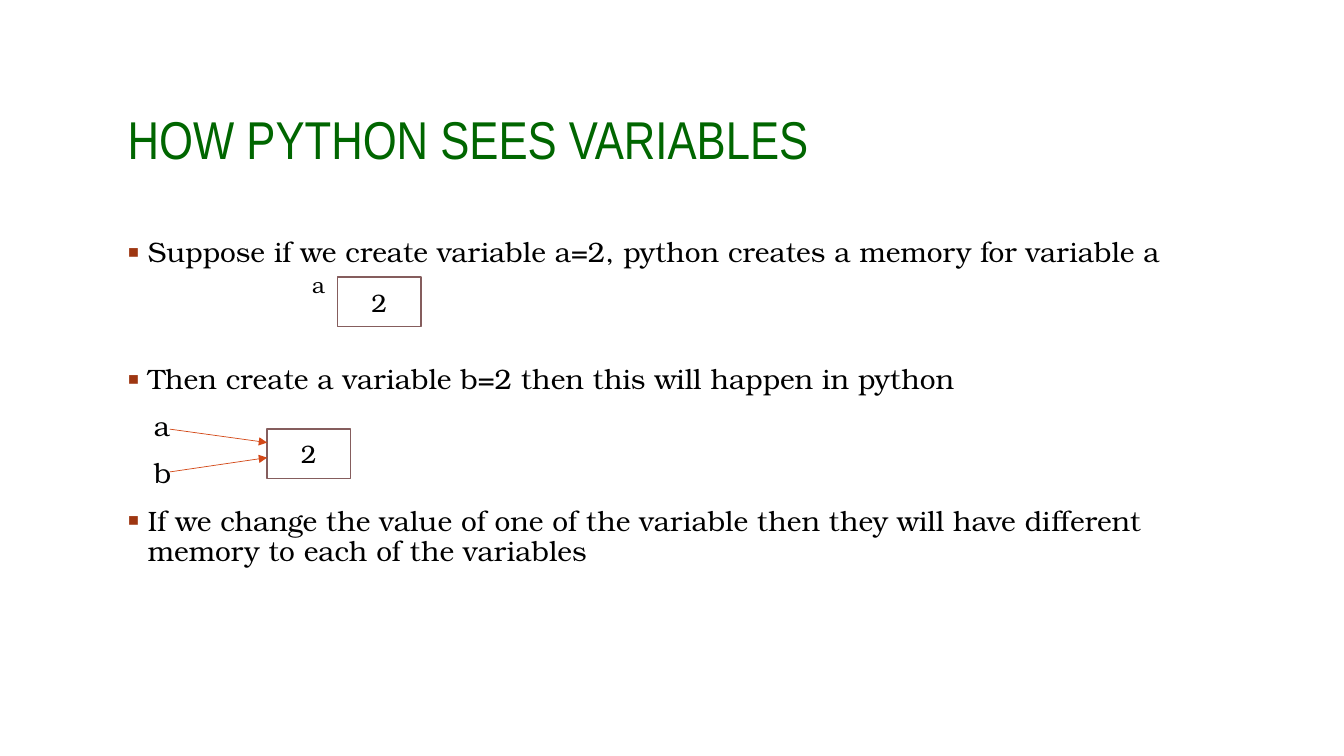
import pptx
import pptx.util
import pptx.dml.color
import pptx.enum.shapes
import pptx.enum.text
import pptx.oxml.ns
from lxml import etree

Pt = pptx.util.Pt
RGBColor = pptx.dml.color.RGBColor
PP_ALIGN = pptx.enum.text.PP_ALIGN
ANCHOR = pptx.enum.text.MSO_ANCHOR
qn = pptx.oxml.ns.qn

GREEN = RGBColor(0x00, 0x66, 0x00)
BLACK = RGBColor(0x00, 0x00, 0x00)
WHITE = RGBColor(0xFF, 0xFF, 0xFF)
RUST = RGBColor(0x9E, 0x36, 0x11)
MAUVE = RGBColor(0x85, 0x5D, 0x5D)
ORANGE = RGBColor(0xD3, 0x48, 0x17)
TITLE_FONT = "Arial Narrow"
BODY_FONT = "TeX Gyre Bonum"

prs = pptx.Presentation()
prs.slide_width = pptx.util.Inches(13.33)
prs.slide_height = pptx.util.Inches(7.5)
slide = prs.slides.add_slide(prs.slide_layouts[1])


def grid(*cells):
    """Lengths in squares of a grid 16 wide and 9 high."""
    return [round(c * prs.slide_width / 16) for c in cells]


def add_run(p, text, size, font=BODY_FONT, color=BLACK):
    r = p.add_run()
    r.text = text
    r.font.size = Pt(size)
    r.font.name = font
    r.font.color.rgb = color


# Title and body share the left edge and the width
title, body = slide.placeholders
for sp, top, height, anchor in [(title, 0.64, 2.11, ANCHOR.MIDDLE),
                                (body, 2.78, 4.14, ANCHOR.TOP)]:
    sp.left, sp.top, sp.width, sp.height = grid(1.4, top, 13.2, height)
    tf = sp.text_frame
    tf.word_wrap = True
    tf.auto_size = pptx.enum.text.MSO_AUTO_SIZE.NONE
    tf.vertical_anchor = anchor

p = title.text_frame.paragraphs[0]
p.alignment = PP_ALIGN.LEFT
p.line_spacing = 0.9
add_run(p, "HOW PYTHON SEES VARIABLES", 38, TITLE_FONT, GREEN)

# Text, bulleted, left margin in inches, size, space before, space after
lines = [
    ("Suppose if we create variable a=2, python creates a memory for variable a",
     True, 0.2, 20, 12, 0),
    ("a", False, 1.83, 16, 4, 2),
    ("Then create a variable b=2 then this will happen in python",
     True, 0.2, 20, 46, 0),
    ("a", False, 0.26, 20, 12, 0),
    ("b", False, 0.26, 20, 12, 0),
    ("If we change the value of one of the variable then they will have "
     "different memory to each of the variables", True, 0.2, 20, 12, 0),
]
tf = body.text_frame
for i, (text, bulleted, margin, size, before, after) in enumerate(lines):
    p = tf.add_paragraph() if i else tf.paragraphs[0]
    p.line_spacing = 0.9
    p.space_before = Pt(before)
    p.space_after = Pt(after)
    pPr = p._p.get_or_add_pPr()
    pPr.set("marL", str(pptx.util.Inches(margin)))
    pPr.set("indent", str(-pptx.util.Inches(margin) if bulleted else 0))
    if bulleted:
        clr = etree.SubElement(pPr, qn("a:buClr"))
        etree.SubElement(clr, qn("a:srgbClr"), val=str(RUST))
        etree.SubElement(pPr, qn("a:buSzPct"), val="85000")
        etree.SubElement(pPr, qn("a:buFont"), typeface=BODY_FONT)
        etree.SubElement(pPr, qn("a:buChar"), char="▪")
    else:
        etree.SubElement(pPr, qn("a:buNone"))
    add_run(p, text, size)

# Memory boxes
for left, top in [(4.02, 3.3), (3.18, 5.11)]:
    sp = slide.shapes.add_shape(pptx.enum.shapes.MSO_SHAPE.RECTANGLE,
                                *grid(left, top, 0.99, 0.59))
    sp.shadow.inherit = False
    sp.fill.solid()
    sp.fill.fore_color.rgb = WHITE
    sp.line.color.rgb = MAUVE
    sp.line.width = Pt(1)
    sp.text_frame.vertical_anchor = ANCHOR.MIDDLE
    p = sp.text_frame.paragraphs[0]
    p.alignment = PP_ALIGN.CENTER
    add_run(p, "2", 18)

# Arrows from both names to the shared box
for start, end in [(5.11, 5.27), (5.62, 5.45)]:
    arrow = slide.shapes.add_connector(pptx.enum.shapes.MSO_CONNECTOR.STRAIGHT,
                                       *grid(2.02, start, 3.18, end))
    arrow.line.color.rgb = ORANGE
    arrow.line.width = Pt(0.5)
    etree.SubElement(arrow.line._get_or_add_ln(), qn("a:tailEnd"), type="triangle")
    etree.SubElement(arrow._element.spPr, qn("a:effectLst"))

prs.save("out.pptx")
